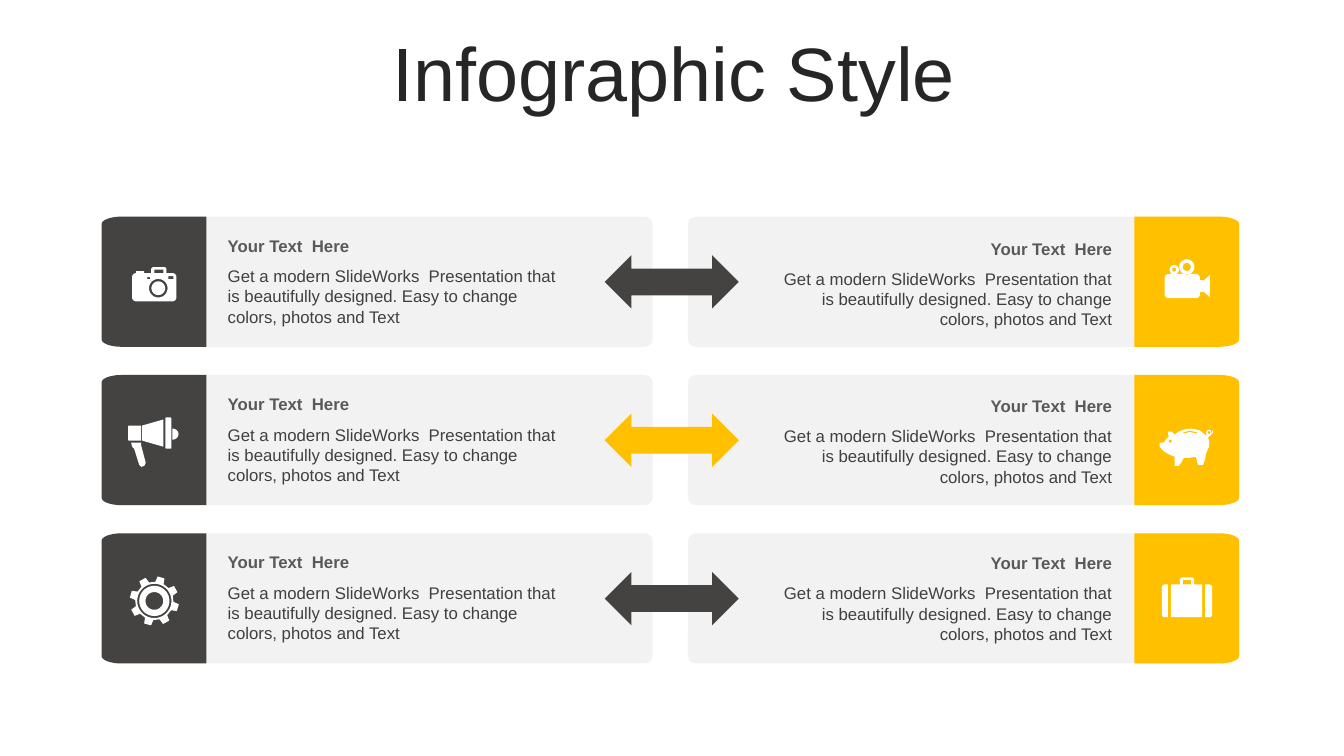
from math import cos, radians, sin

from pptx import Presentation
from pptx.dml.color import RGBColor
from pptx.enum.shapes import MSO_SHAPE as Shape
from pptx.enum.text import MSO_ANCHOR as Anchor
from pptx.enum.text import MSO_AUTO_SIZE as AutoSize
from pptx.enum.text import PP_ALIGN as Align
from pptx.util import Cm, Pt

COLORS = {
    "title": "262626",
    "heading": "595959",
    "body": "404040",
    "card": "F2F2F2",
    "dark": "444342",
    "gold": "FFC000",
    "icon": "FFFFFF",
}
FONT = "Arial"
HEADING = "Your Text  Here"
BODY = ("Get a modern SlideWorks  Presentation that is beautifully designed. "
        "Easy to change colors, photos and Text")
ROW_PITCH, RIGHT_CAPTION_PITCH = 3.99, 3.96
CARD_TOP, CARD_WIDTH, CARD_HEIGHT = 5.46, 13.59, 3.28
TAB_WIDTH = 2.64
ICON_UNIT = 0.0254


def rgb(name):
    return RGBColor.from_string(COLORS[name])


def paint(shape, color):
    shape.shadow.inherit = False
    shape.fill.solid()
    shape.fill.fore_color.rgb = rgb(color)
    shape.line.fill.background()


def arc(cx, cy, rx, ry, start, sweep, steps):
    angles = [radians(start + sweep * i / steps) for i in range(steps + 1)]
    return [(cx + rx * cos(a), cy + ry * sin(a)) for a in angles]


def disc(cx, cy, radius):
    return arc(cx, cy, radius, radius, 0, 360, 36)


def box(left, top, right, bottom, rx=0, ry=0, rounded="lr"):
    corners = [("r", right, bottom, -1, -1), ("l", left, bottom, 1, -1),
               ("l", left, top, 1, 1), ("r", right, top, -1, 1)]
    points = []
    for quarter, (side, x, y, inward, down) in enumerate(corners):
        if rx and side in rounded:
            points += arc(x + inward * rx, y + down * ry, rx, ry, 90 * quarter, 90, 8)
        else:
            points.append((x, y))
    return points


def arch(left, right, base):
    return [(left, base), (left, 1.5), (left + 1.5, 0), (right - 1.5, 0), (right, 1.5),
            (right, base), (right - 3, base), (right - 3, 2.5), (left + 3, 2.5),
            (left + 3, base)]


def photo_camera():
    return [box(0, 6, 44, 34, 4, 4), arch(19, 34, 6), box(4, 4, 12, 6),
            disc(26, 21, 9.2), disc(26, 21, 6.8),
            box(15, 10, 18, 12), box(36, 9, 41, 12)]


def megaphone():
    handle = [(13, 25), (13, 28), (17.5, 45), (16, 48), (13, 49), (11, 47),
              (6, 31), (4, 29), (3, 25)]
    cone = [(35, 2), (35, 29), (14, 23), (14, 8)]
    return [handle, cone, box(0, 8, 13, 23, 1, 1), box(37, 0, 43, 31, 1, 1),
            arc(44, 16.5, 6, 5.5, -90, 180, 12)]


def gear():
    cx, cy = 24, 24.5
    teeth = []
    for tooth in range(8):
        for offset, radius in ((-13, 19), (-8.3, 24.5), (8.3, 24.5), (13, 19)):
            angle = radians(16 + 45 * tooth + offset)
            teeth.append((cx + radius * cos(angle), cy + radius * sin(angle)))
    return [teeth] + [disc(cx, cy, radius) for radius in (17, 15, 8.8)]


def movie_camera():
    horn = [(35, 20), (38, 20), (38, 21), (45, 15), (45, 37), (38, 31), (38, 32), (35, 32)]
    return [box(0, 14, 35, 38, 4, 4), horn, disc(22, 7, 7.5), disc(22, 7, 4),
            disc(9.5, 9.7, 4.6), disc(9.5, 9.7, 2)]


def piggy_bank():
    outline = [(31, 0), (36, 0.5), (41, 2), (46, 6), (48, 7), (47, 4), (48, 2), (50, 1),
               (52, 2), (52, 5), (53, 4), (54, 1), (54, 4), (51, 7), (49, 9), (50, 12),
               (50, 18), (47, 25), (46, 31), (44, 36), (39, 36), (37, 28), (31, 29),
               (25, 29), (23, 33), (20, 37), (16, 37), (16, 28), (10, 25.5), (5, 22.5),
               (1, 18), (1, 14), (5, 14), (7, 11), (10, 8), (9, 3), (13, 3), (16, 6),
               (20, 3), (25, 1)]
    slot = [(24, 4), (31, 2), (39, 4), (38, 5), (31, 3.4), (25, 5)]
    return [outline, slot, disc(11.5, 12.5, 1.5), disc(50, 4, 1.5)]


def suitcase():
    return [box(0, 7, 6, 39.5, 3, 3, "l"), box(9, 7, 40, 39.5),
            box(43, 7, 50, 39.5, 3, 3, "r"), arch(18, 32, 7)]


def add_outline(slide, contours, left, top, color, unit=1):
    scaled = [[(Cm(x * unit), Cm(y * unit)) for x, y in contour] for contour in contours]
    builder = slide.shapes.build_freeform(*scaled[0][0], scale=1.0)
    for number, contour in enumerate(scaled):
        if number:
            builder.move_to(*contour[0])
        builder.add_line_segments(contour[1:], close=True)
    paint(builder.convert_to_shape(Cm(left), Cm(top)), color)


def add_preset(slide, kind, left, top, width, height, color):
    shape = slide.shapes.add_shape(kind, Cm(left), Cm(top), Cm(width), Cm(height))
    paint(shape, color)
    return shape


def add_card(slide, left, top):
    card = add_preset(slide, Shape.ROUNDED_RECTANGLE, left, top, CARD_WIDTH, CARD_HEIGHT, "card")
    card.adjustments[0] = 0.06


def add_tab(slide, left, top, rounded, color):
    add_outline(slide, [box(0, 0, TAB_WIDTH, CARD_HEIGHT, 0.5, 0.19, rounded)], left, top, color)


def style(paragraph, size, color, align, bold=False):
    paragraph.alignment = align
    font = paragraph.font
    font.name, font.size, font.bold = FONT, Pt(size), bold
    font.color.rgb = rgb(color)


def add_text(slide, text, left, top, width, height, color, align, bold=False):
    frame = slide.shapes.add_textbox(Cm(left), Cm(top), Cm(width), Cm(height)).text_frame
    frame.word_wrap = True
    frame.auto_size = AutoSize.SHAPE_TO_FIT_TEXT
    frame.text = text
    style(frame.paragraphs[0], 12, color, align, bold)


def add_caption(slide, left, top, width, align):
    add_text(slide, HEADING, left, top, width, 0.76, "heading", align, True)
    add_text(slide, BODY, left, top + 0.77, width, 1.8, "body", align)


def add_title(slide, text):
    title = slide.shapes.title
    title.left, title.top, title.width, title.height = Cm(0.9), Cm(0.94), Cm(32.16), Cm(2.01)
    frame = title.text_frame
    frame.text = text
    frame.auto_size = AutoSize.NONE
    frame.vertical_anchor = Anchor.MIDDLE
    frame.paragraphs[0].line_spacing = 0.9
    style(frame.paragraphs[0], 54, "title", Align.CENTER)


def main():
    prs = Presentation()
    prs.slide_width, prs.slide_height = Cm(33.87), Cm(19.05)
    slide = prs.slides.add_slide(prs.slide_layouts[5])
    add_title(slide, "Infographic Style")

    rows = [
        ("dark", (photo_camera, 3.33, 6.73), (movie_camera, 29.35, 6.55)),
        ("gold", (megaphone, 3.23, 10.52), (piggy_bank, 29.2, 10.8)),
        ("dark", (gear, 3.28, 14.52), (suitcase, 29.28, 14.55)),
    ]
    for row, (arrow_color, *icons) in enumerate(rows):
        top = CARD_TOP + row * ROW_PITCH
        add_card(slide, 2.86, top)
        add_card(slide, 17.34, top)
        add_tab(slide, 2.56, top, "l", "dark")
        add_tab(slide, 28.59, top, "r", "gold")
        add_caption(slide, 5.49, top + 0.35, 9.02, Align.LEFT)
        add_caption(slide, 19.36, 5.88 + row * RIGHT_CAPTION_PITCH, 8.92, Align.RIGHT)
        add_preset(slide, Shape.LEFT_RIGHT_ARROW, 15.24, top + 0.97, 3.38, 1.35, arrow_color)
        for draw, left, icon_top in icons:
            add_outline(slide, draw(), left, icon_top, "icon", ICON_UNIT)

    prs.save("out.pptx")


if __name__ == "__main__":
    main()
